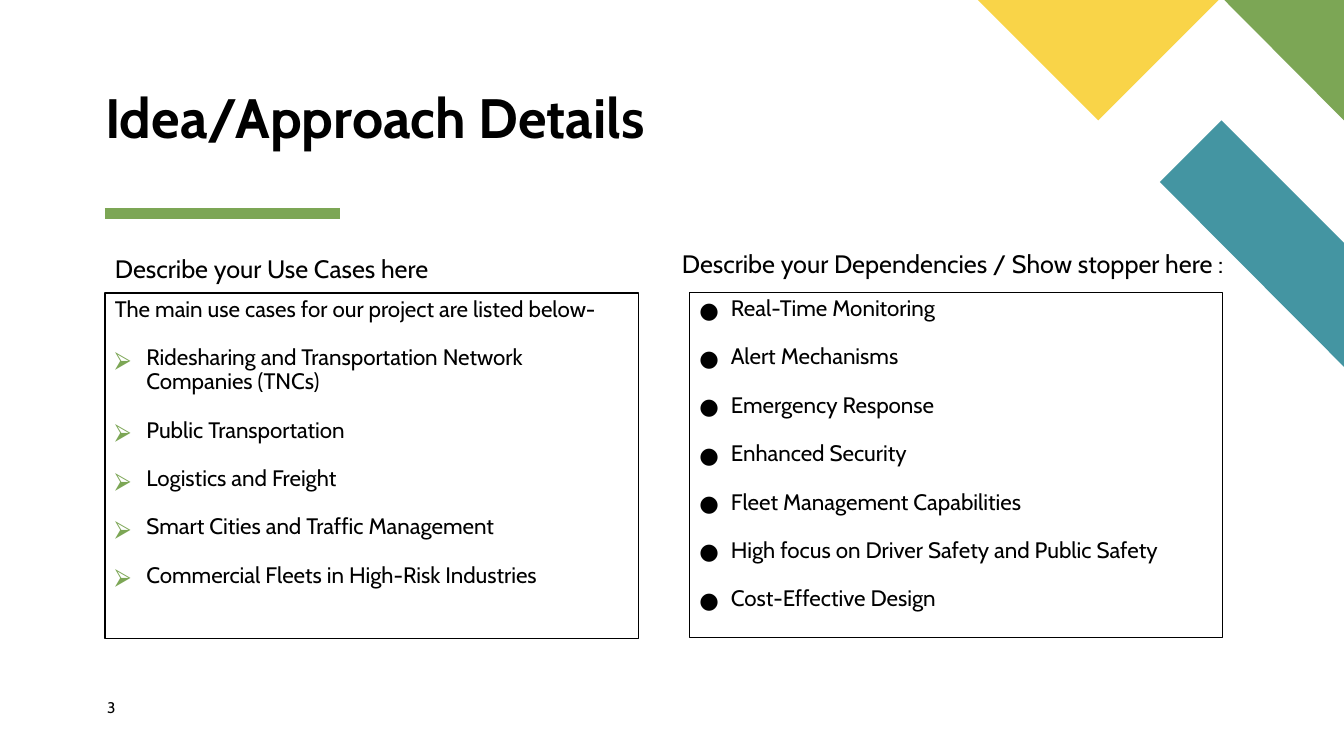
from lxml.etree import SubElement
from pptx import Presentation
from pptx.dml.color import RGBColor
from pptx.enum.shapes import MSO_CONNECTOR, MSO_SHAPE
from pptx.enum.text import MSO_ANCHOR, PP_ALIGN
from pptx.oxml.ns import qn
from pptx.util import Pt

BLACK = RGBColor(0, 0, 0)
GREEN = RGBColor(0x7C, 0xA6, 0x55)
TEAL = RGBColor(0x44, 0x95, 0xA2)
GOLD = RGBColor(0xF9, 0xD4, 0x48)
FONT = "Cabin"

# Content
TITLE = "Idea/Approach Details"
PAGE = "3"
USE_HEAD = "Describe your Use Cases here"
DEP_HEAD = "Describe your Dependencies / Show stopper here :"
INTRO = "The main use cases for our project are listed below-"
CASES = [
    "Ridesharing and Transportation Network Companies (TNCs)",
    "Public Transportation",
    "Logistics and Freight",
    "Smart Cities and Traffic Management",
    "Commercial Fleets in High-Risk Industries",
]
NEEDS = [
    "Real-Time Monitoring",
    "Alert Mechanisms",
    "Emergency Response",
    "Enhanced Security",
    "Fleet Management Capabilities",
    "High focus on Driver Safety and Public Safety",
    "Cost-Effective Design",
]
CORNER = [
    (TEAL, [(960, 262), (960, 173.5), (872.5, 86), (828.5, 130)]),
    (GREEN, [(960, 86), (960, 0), (874.5, 0)]),
    (GOLD, [(698.5, 0), (784.5, 86), (870.5, 0)]),
]

# Layout
WIDE, HIGH = 960, 540
LEFT = 75
PANEL_W, PANEL_H = 381, 246.5
GAP = 17.3  # one empty line between list items
HANG = 22.5

deck = Presentation()
deck.slide_width, deck.slide_height = Pt(WIDE), Pt(HIGH)
slide = deck.slides.add_slide(deck.slide_layouts[6])
shapes = slide.shapes


def bullet(para, mark, color):
    props = para._p.get_or_add_pPr()
    props.set("marL", str(Pt(HANG)))
    props.set("indent", str(-Pt(HANG)))
    tint = SubElement(props, qn("a:buClr"))
    SubElement(tint, qn("a:srgbClr")).set("val", str(color))
    SubElement(props, qn("a:buFont")).set("typeface", "Noto Sans Symbols")
    SubElement(props, qn("a:buChar")).set("char", mark)


def write(shape, lines, size=16, bold=False, inset=(7.2, 3.6), space=0.9,
          anchor=MSO_ANCHOR.TOP, mark=None, tint=BLACK, plain=0):
    """Fill a shape with lines; the first `plain` ones carry no bullet."""
    frame = shape.text_frame
    frame.word_wrap = True
    frame.vertical_anchor = anchor
    frame.margin_left = frame.margin_right = Pt(inset[0])
    frame.margin_top = frame.margin_bottom = Pt(inset[1])
    for i, line in enumerate(lines):
        para = frame.add_paragraph() if i else frame.paragraphs[0]
        para.alignment = PP_ALIGN.LEFT
        para.line_spacing = space
        para.space_before = Pt(GAP if i else 0)
        if mark and i >= plain:
            bullet(para, mark, tint)
        run = para.add_run()
        run.text = line
        font = run.font
        font.name, font.size, font.bold = FONT, Pt(size), bold
        font.color.rgb = BLACK


def label(x, y, w, h, text, **style):
    write(shapes.add_textbox(Pt(x), Pt(y), Pt(w), Pt(h)), [text], **style)


def panel(x, y, lines, **style):
    box = shapes.add_shape(MSO_SHAPE.RECTANGLE, Pt(x), Pt(y),
                           Pt(PANEL_W), Pt(PANEL_H))
    box.shadow.inherit = False
    box.fill.background()
    box.line.color.rgb = BLACK
    box.line.width = Pt(0.75)
    write(box, lines, **style)


# Accent rule under the title
rule = shapes.add_connector(MSO_CONNECTOR.STRAIGHT, Pt(LEFT), Pt(152.8),
                            Pt(243), Pt(152.8))
rule.line.color.rgb = GREEN
rule.line.width = Pt(8)
SubElement(rule._element.spPr, qn("a:effectLst"))

# Corner pieces
for color, dots in CORNER:
    dots = [(Pt(x), Pt(y)) for x, y in dots]
    path = shapes.build_freeform(*dots[0])
    path.add_line_segments(dots[1:], close=True)
    piece = path.convert_to_shape()
    piece.shadow.inherit = False
    piece.fill.solid()
    piece.fill.fore_color.rgb = color
    piece.line.fill.background()

# Title, headings and page number
label(LEFT, 59, 455, 48.5, TITLE, size=39.6, bold=True, inset=(0, 0),
      anchor=MSO_ANCHOR.BOTTOM)
label(LEFT, 180, PANEL_W, 25, USE_HEAD, size=18)
label(480, 176.5, 431, 32.5, DEP_HEAD, size=18)
label(76.5, 498.5, 41, 19.5, PAGE, size=11, inset=(0, 0), space=1)

# Two panels
panel(LEFT, 209.3, [INTRO] + CASES, mark="⮚", tint=GREEN, plain=1)
panel(492.5, 208.8, NEEDS, mark="●")

deck.save("out.pptx")
